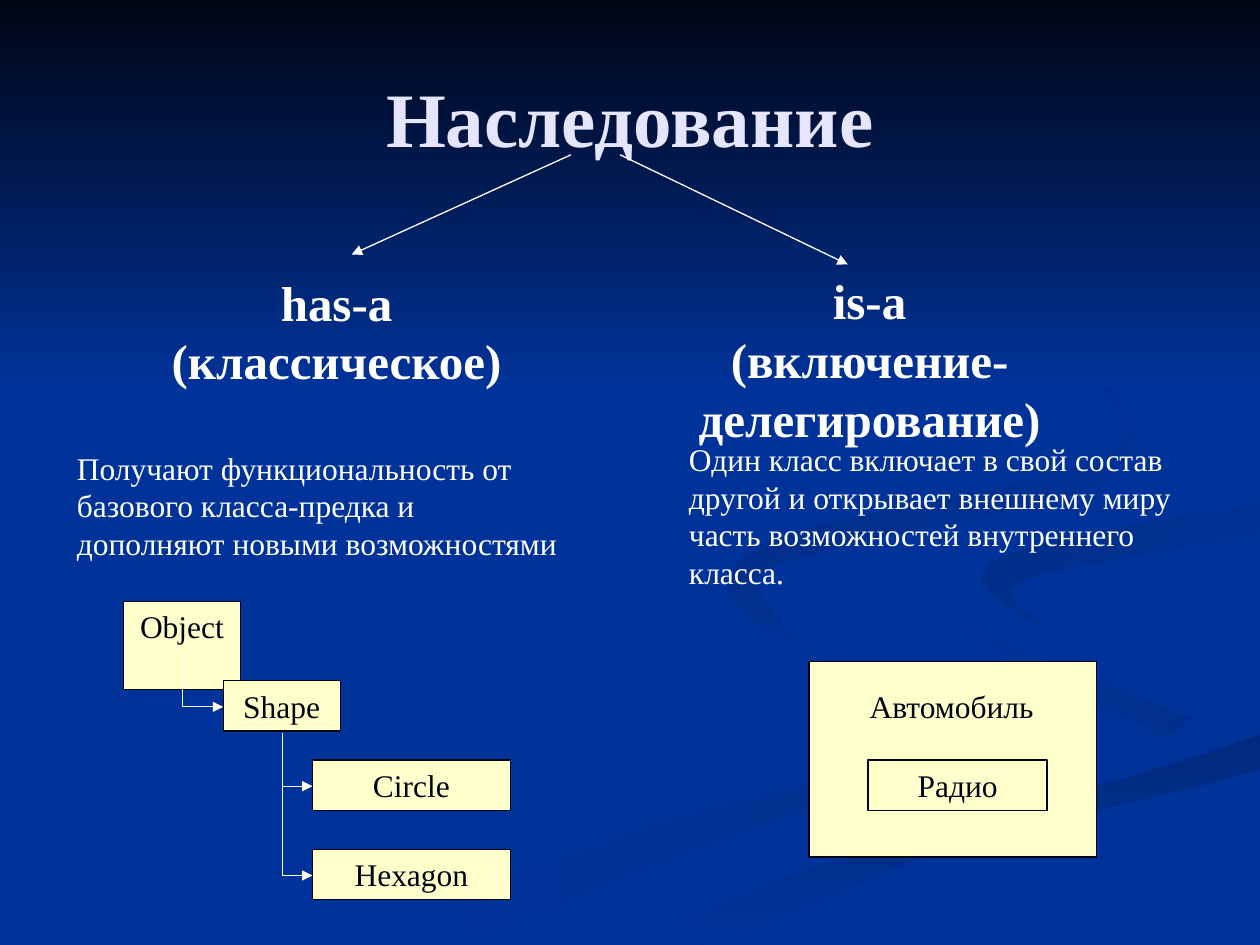
"""Build the slide on the two kinds of inheritance."""
from dataclasses import dataclass

from lxml.etree import SubElement
from pptx import Presentation
from pptx.dml.color import RGBColor
from pptx.enum.shapes import MSO_CONNECTOR, MSO_SHAPE
from pptx.enum.text import MSO_ANCHOR, PP_ALIGN
from pptx.oxml.ns import qn
from pptx.util import Cm, Pt


@dataclass(frozen=True)
class Theme:
    font: str = "Times New Roman"
    blue: str = "003399"
    navy: str = "002B82"
    night: str = "000514"
    white: str = "FFFFFF"
    lilac: str = "E5E5FF"
    cream: str = "FFFFCC"
    title: int = 44
    head: int = 28
    body: int = 18
    line: float = 0.75


theme = Theme()


def write(shape, paras, size, color, bold=False, align=PP_ALIGN.CENTER, wrap=True):
    frame = shape.text_frame
    frame.word_wrap = wrap
    frame.vertical_anchor = MSO_ANCHOR.TOP
    for i, lines in enumerate(paras):
        para = frame.add_paragraph() if i else frame.paragraphs[0]
        para.alignment = align
        for j, line in enumerate(lines):
            if j:
                para.add_line_break()
            run = para.add_run()
            run.text = line
            run.font.name = theme.font
            run.font.size = Pt(size)
            run.font.bold = bold
            run.font.color.rgb = RGBColor.from_string(color)


def arrow(kind, x1, y1, x2, y2):
    link = slide.shapes.add_connector(kind, Cm(x1), Cm(y1), Cm(x2), Cm(y2))
    link.line.color.rgb = RGBColor.from_string(theme.white)
    link.line.width = Pt(theme.line)
    SubElement(link.line._get_or_add_ln(), qn("a:tailEnd"), type="triangle")
    SubElement(link._element.spPr, qn("a:effectLst"))
    return link


deck = Presentation()
wide, high = 25.4, 19.05
deck.slide_width, deck.slide_height = Cm(wide), Cm(high)
slide = deck.slides.add_slide(deck.slide_layouts[6])
back = slide.background.fill
back.solid()
back.fore_color.rgb = RGBColor.from_string(theme.blue)

swirls = [
    (theme.blue, "002E8B", 0, [
        (19.8, 14.1), (15.9, 12.8), (14.6, 11.7), (15.5, 12.7), (19.7, 14.1), (18.8, 15.2),
        (12.7, 16.8), (7.6, 19), (9.2, 19), (15.1, 16.7), (20.2, 15)]),
    (theme.blue, "002E8B", 45, [
        (24, 14.5), (20.6, 13.1), (18.4, 11.8), (20.7, 13.5), (23.3, 14.8), (22.7, 15.4),
        (23.9, 14.8)]),
    ("002A7D", theme.blue, 90, [
        (12.8, 19), (14.5, 19), (19.1, 17.1), (wide, 15.5), (wide, 14.8), (19.4, 16.4)]),
    (theme.blue, theme.blue, 0, [
        (18.4, 11.8), (20.6, 13.1), (24, 14.5), (18.9, 16.3), (12.1, 19), (16, 17.6),
        (wide, 14.8), (wide, 13.7), (20.8, 12.5), (20.1, 11.4), (wide, 10.2), (wide, 9.8),
        (19.6, 10.9)]),
    ("002D86", theme.blue, 45, [
        (19.8, 11.7), (21, 12.6), (20.6, 11.7), (wide, 10.7), (wide, 10.2), (20.9, 11)]),
    (theme.navy, theme.blue, 45, [
        (17.4, 10.9), (22, 9.8), (22.6, 8.2), (19.4, 5.9), (22.3, 7.8), (22.1, 9.3),
        (16.2, 10.7), (14.7, 11.7), (15.8, 12.7), (15.3, 11.6)]),
]
shades = []
steps = 6
for start, end, angle, knots in swirls:
    spots = []
    for i, far in enumerate(knots):
        quads = list(zip(knots[i - 2], knots[i - 1], far, knots[(i + 1) % len(knots)]))
        for t in [step / steps for step in range(steps)]:
            x, y = [b + t * (c - a) / 2 + t**2 * (2 * a - 5 * b + 4 * c - d) / 2
                    + t**3 * (3 * b - a - 3 * c + d) / 2 for a, b, c, d in quads]
            spots.append((Cm(min(x, wide)), Cm(min(y, high))))
    pen = slide.shapes.build_freeform(*spots[0])
    pen.add_line_segments(spots[1:], close=True)
    shades.append((pen.convert_to_shape(), start, end, angle))

sky = slide.shapes.add_shape(MSO_SHAPE.RECTANGLE, 0, 0, Cm(wide), Cm(7.82))
shades.append((sky, theme.night, theme.blue, 90))
for shape, start, end, angle in shades:
    shape.shadow.inherit = False
    shape.line.fill.background()
    shape.fill.gradient()
    shape.fill.gradient_angle = -angle % 360
    for stop, color, place in zip(shape.fill.gradient_stops, (start, end), (0, 1)):
        stop.color.rgb = RGBColor.from_string(color)
        stop.position = place

title = slide.shapes.add_textbox(Cm(1.27), Cm(0.76), Cm(22.86), Cm(3.18))
write(title, [["Наследование"]], theme.title, theme.lilac, bold=True)
title.text_frame.vertical_anchor = MSO_ANCHOR.MIDDLE

for ends in [(11.51, 3.12, 7.09, 5.13), (12.5, 3.12, 17.09, 5.33)]:
    arrow(MSO_CONNECTOR.STRAIGHT, *ends)

heads = [
    (13.11, 5.33, 8.84, 3.81, [["is-a"], ["(включение-", "делегирование)"]]),
    (2.57, 5.36, 8.43, 2.64, [["has-a", "(классическое)"]]),
]
for x, y, w, h, paras in heads:
    head = slide.shapes.add_textbox(Cm(x), Cm(y), Cm(w), Cm(h))
    write(head, paras, theme.head, theme.white, bold=True, wrap=False)

notes = [
    (1.3, 8.92, 3.3, "Получают функциональность от базового класса-предка "
                     "и дополняют новыми возможностями"),
    (13.64, 8.74, 4.06, "Один класс включает в свой состав другой и открывает "
                        "внешнему миру часть возможностей внутреннего класса."),
]
for x, y, h, text in notes:
    note = slide.shapes.add_textbox(Cm(x), Cm(y), Cm(10.26), Cm(h))
    write(note, [[text]], theme.body, theme.white, align=PP_ALIGN.LEFT)

boxes = [
    ("Object", 2.49, 12.12, 2.36, 1.78, True),
    ("Shape", 4.5, 13.72, 2.36, 1.02, True),
    ("Circle", 6.3, 15.32, 3.99, 1.02, True),
    ("Hexagon", 6.3, 17.12, 3.99, 1.02, True),
    ("", 16.31, 13.34, 5.79, 3.94, True),
    ("Радио", 17.5, 15.32, 3.61, 1.02, False),
]
for text, x, y, w, h, filled in boxes:
    box = slide.shapes.add_shape(MSO_SHAPE.RECTANGLE, Cm(x), Cm(y), Cm(w), Cm(h))
    box.shadow.inherit = False
    box.line.color.rgb = RGBColor.from_string(theme.night)
    box.line.width = Pt(theme.line)
    if filled:
        box.fill.solid()
        box.fill.fore_color.rgb = RGBColor.from_string(theme.cream)
    else:
        box.fill.background()
    if text:
        write(box, [[text]], theme.body, theme.night)

car = slide.shapes.add_textbox(Cm(16.48), Cm(13.72), Cm(5.41), Cm(1.02))
write(car, [["Автомобиль"]], theme.body, theme.night)

for x1, y1, x2, y2 in [(3.68, 13.18, 4.5, 14.25), (5.69, 14.78, 6.3, 15.85),
                       (5.69, 14.78, 6.3, 17.65)]:
    midx, midy = (x1 + x2) / 2, (y1 + y2) / 2
    dx, dy = (y2 - y1) / 2, (x2 - x1) / 2
    bend = arrow(MSO_CONNECTOR.ELBOW, midx + dx, midy - dy, midx - dx, midy + dy)
    bend._element.spPr.find(qn("a:xfrm")).set("rot", str(270 * 60000))
    bend._element.spPr.find(qn("a:prstGeom")).set("prst", "bentConnector2")

deck.save("out.pptx")
